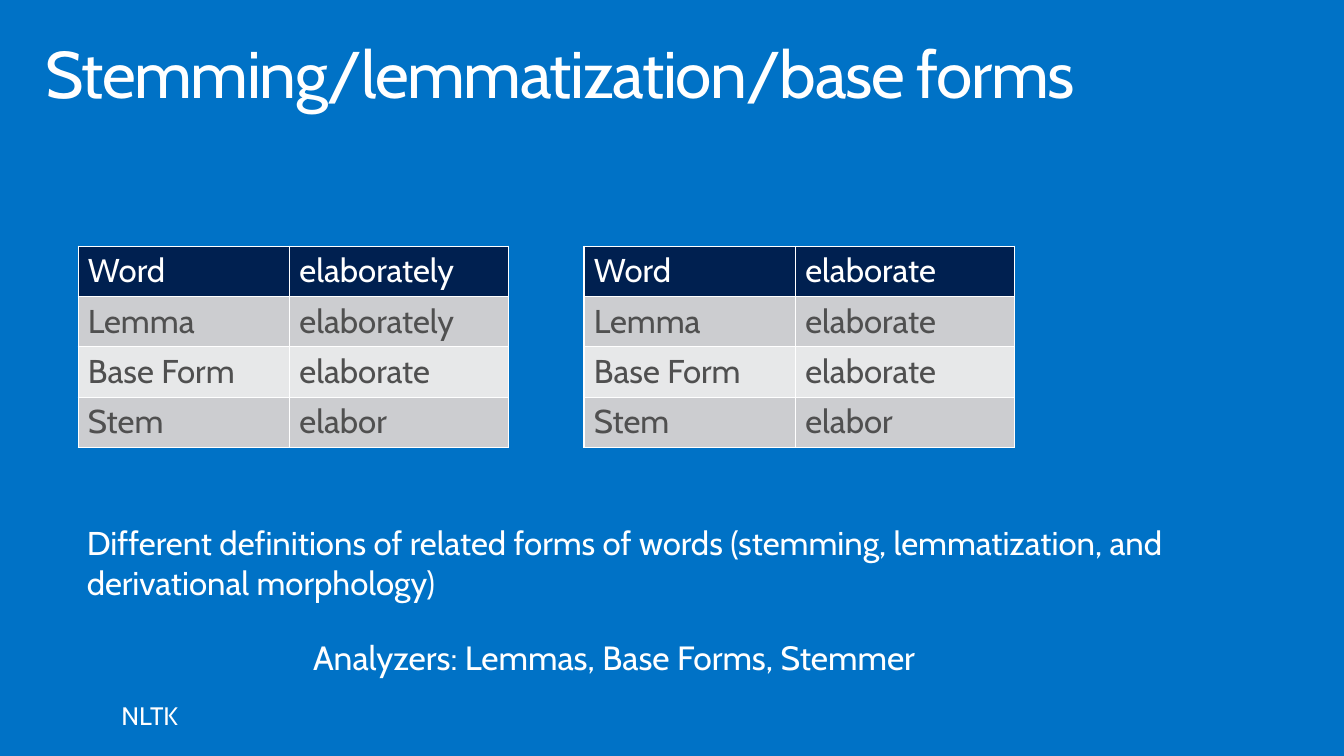
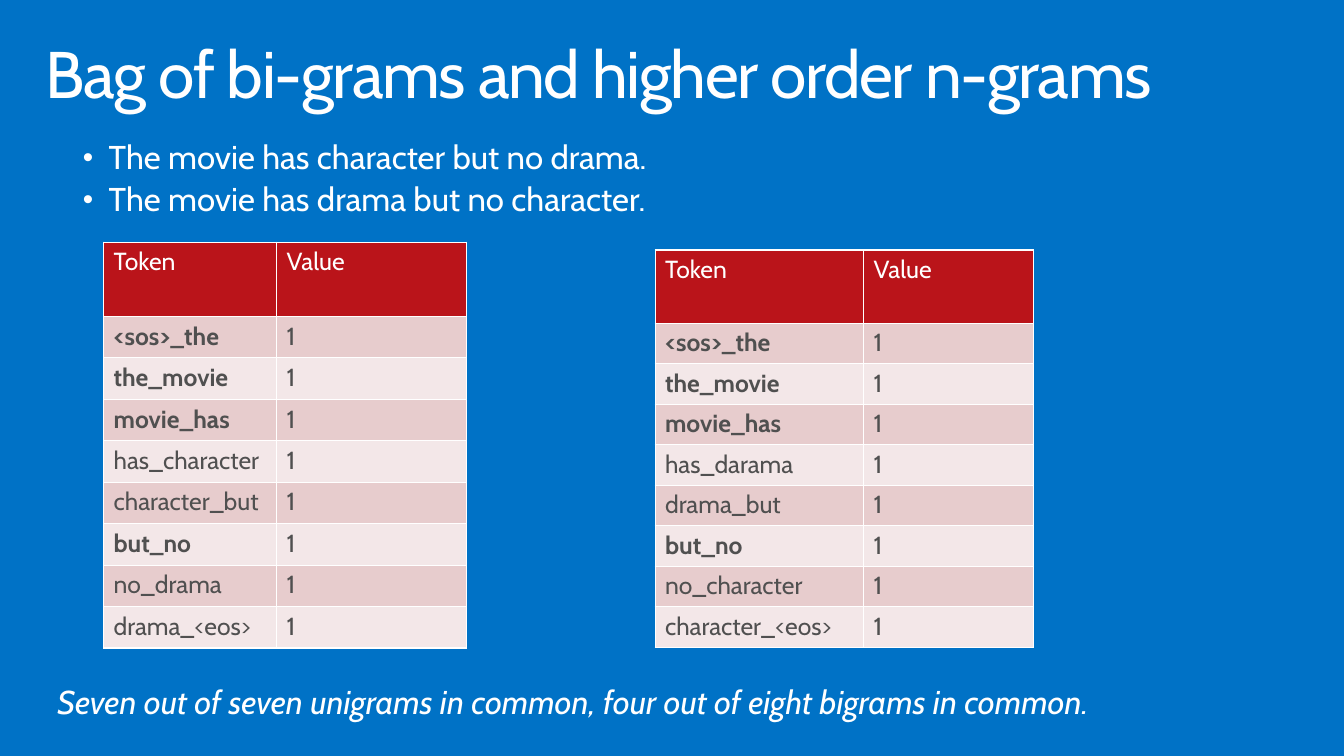
from lxml.etree import SubElement
from pptx import Presentation
from pptx.dml.color import RGBColor
from pptx.oxml.ns import qn
from pptx.util import Inches, Pt

BLUE, NAVY, RED = "0072C6", "002050", "BA141A"
WHITE, GREY_TEXT = "FFFFFF", "505050"
GREY_BANDS = ("CCCDD0", "E7E8E9")
PINK_BANDS = ("E7CCCD", "F3E7E8")
SHARED_BIGRAMS = {"<sos>_the", "the_movie", "movie_has", "but_no"}


def color(hex_code):
    return RGBColor.from_string(hex_code)


class Deck:
    font = "Cabin"

    def __init__(self, width, height):
        self.prs = Presentation()
        self.prs.slide_width = Inches(width)
        self.prs.slide_height = Inches(height)
        self.slide = None

    def add_slide(self, title):
        self.slide = self.prs.slides.add_slide(self.prs.slide_layouts[6])
        background = self.slide.background.fill
        background.solid()
        background.fore_color.rgb = color(BLUE)
        heading = self.text((0.3, 0.32, 13, 1), title, size=48,
                            inset=(0.16, 0.1), line_spacing=0.9)
        for run in heading.paragraphs[0].runs:
            run.font._element.set("spc", "-100")

    def style(self, paragraph, size, hex_code=WHITE, bold=False, italic=False):
        for run in paragraph.runs:
            font = run.font
            font.name = self.font
            font.size = Pt(size)
            font.bold = bold
            font.italic = italic
            font.color.rgb = color(hex_code)

    def text(self, box, content, size=24, inset=(0.1, 0.05), wrap=True,
             line_spacing=None, italic=False):
        frame = self.slide.shapes.add_textbox(*map(Inches, box)).text_frame
        frame.word_wrap = wrap
        frame.margin_left = frame.margin_right = Inches(inset[0])
        frame.margin_top = frame.margin_bottom = Inches(inset[1])
        frame.text = content
        for paragraph in frame.paragraphs:
            paragraph.line_spacing = line_spacing
            self.style(paragraph, size, italic=italic)
        return frame

    def bullets(self, box, sentences):
        frame = self.text(box, "\n".join(sentences), inset=(0.16, 0.1),
                          line_spacing=0.9)
        for paragraph in frame.paragraphs:
            props = paragraph._p.get_or_add_pPr()
            props.set("marL", str(Inches(0.64)))
            props.set("indent", str(Inches(-0.26)))
            before = SubElement(props, qn("a:spcBef"))
            SubElement(before, qn("a:spcPct"), val="20000")
            SubElement(props, qn("a:buSzPct"), val="90000")
            SubElement(props, qn("a:buFont"), typeface="Arial")
            SubElement(props, qn("a:buChar"), char="•")

    def table(self, left, top, widths, header_height, row_height, rows, size,
              header_fill, bands, bold_words=()):
        height = header_height + row_height * (len(rows) - 1)
        table = self.slide.shapes.add_table(
            len(rows), len(widths), Inches(left), Inches(top),
            Inches(sum(widths)), Inches(height)).table
        for column, width in zip(table.columns, widths):
            column.width = Inches(width)
        for r, words in enumerate(rows):
            table.rows[r].height = Inches(row_height if r else header_height)
            fill = bands[(r - 1) % 2] if r else header_fill
            for c, word in enumerate(words):
                cell = table.cell(r, c)
                cell.fill.solid()
                cell.fill.fore_color.rgb = color(fill)
                cell.text_frame.text = word
                self.style(cell.text_frame.paragraphs[0], size,
                           GREY_TEXT if r else WHITE, bold=word in bold_words)


def word_forms(deck):
    deck.add_slide("Stemming/lemmatization/base forms")
    labels = ("Word", "Lemma", "Base Form", "Stem")
    examples = (
        (0.79, ("elaborately", "elaborately", "elaborate", "elabor")),
        (5.91, ("elaborate", "elaborate", "elaborate", "elabor")),
    )
    for left, forms in examples:
        deck.table(left, 2.49, (2.14, 2.22), 0.51, 0.51,
                   list(zip(labels, forms)), 24, NAVY, GREY_BANDS)
    deck.text((0.78, 5.24, 12.57, 0.91),
              "Different definitions of related forms of words "
              "(stemming, lemmatization, and derivational morphology)")
    deck.text((3.07, 6.4, 6.96, 0.52),
              "Analyzers: Lemmas, Base Forms, Stemmer", size=24.5)
    deck.text((1.13, 7.04, 0.8, 0.42), "NLTK", size=18.4, wrap=False)


def bigrams(deck):
    deck.add_slide("Bag of bi-grams and higher order n-grams")
    deck.bullets((0.3, 1.33, 13, 1.01),
                 ("The movie has character but no drama.",
                  "The movie has drama but no character."))
    bags = (
        (1.05, 2.45, (1.75, 1.92), 0.75, 0.42,
         ("has_character", "character_but", "but_no", "no_drama",
          "drama_<eos>")),
        (6.63, 2.53, (2.11, 1.72), 0.74, 0.41,
         ("has_darama", "drama_but", "but_no", "no_character",
          "character_<eos>")),
    )
    opening = ("<sos>_the", "the_movie", "movie_has")
    for left, top, widths, header_height, row_height, ending in bags:
        rows = [("Token", "Value")]
        rows += [(token, "1") for token in opening + ending]
        deck.table(left, top, widths, header_height, row_height, rows, 18,
                   RED, PINK_BANDS, SHARED_BIGRAMS)
    deck.text((0.38, 6.78, 12.21, 0.69),
              "Seven out of seven unigrams in common, "
              "four out of eight bigrams in common.",
              inset=(0.2, 0.16), line_spacing=0.9, italic=True)


def main():
    deck = Deck(13.6, 7.65)
    word_forms(deck)
    bigrams(deck)
    deck.prs.save("out.pptx")


if __name__ == "__main__":
    main()
